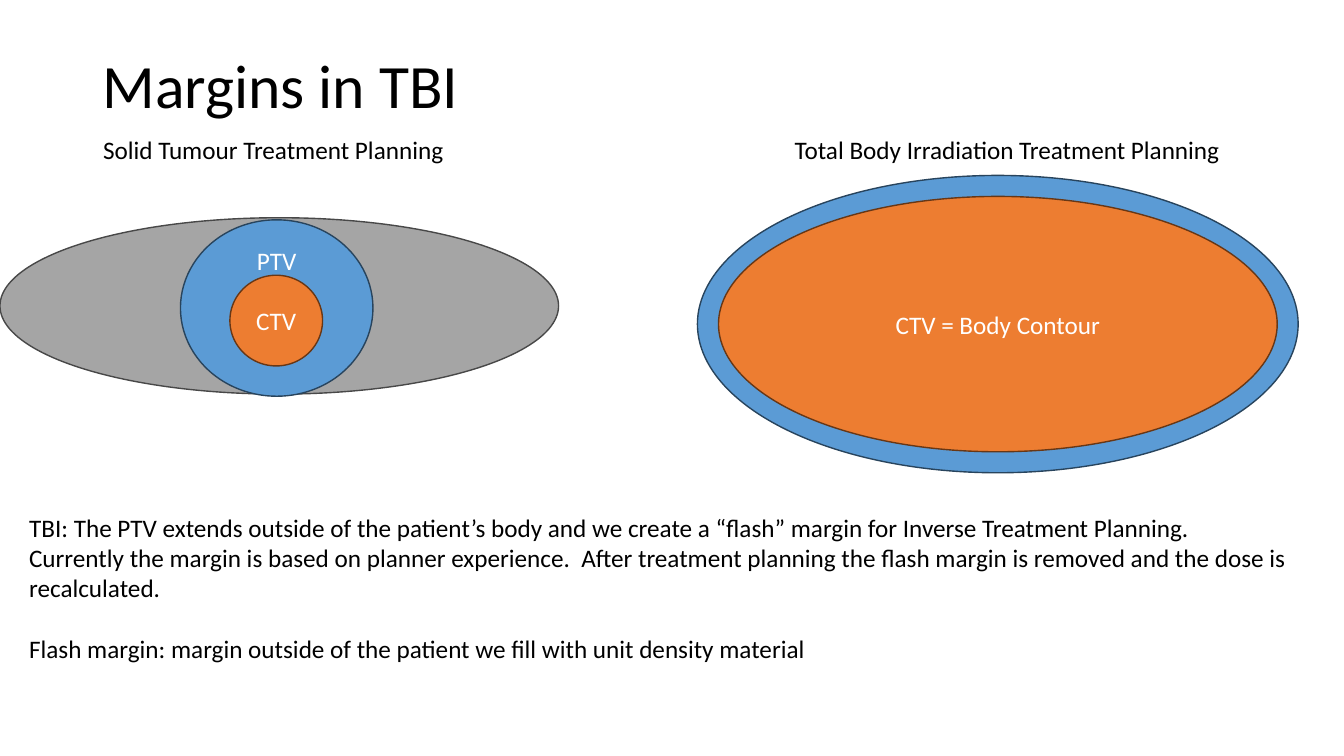
from dataclasses import dataclass

from pptx import Presentation
from pptx import util as u
from pptx.dml.color import RGBColor
from pptx.enum import shapes, text


@dataclass(frozen=True)
class Theme:
    """Colours as (fill, line) pairs, the font and the type sizes."""
    font: str = "Calibri"
    ink: str = "000000"
    light: str = "FFFFFF"
    patient: tuple = ("A5A5A5", "484848")
    ptv: tuple = ("5B9BD5", "28445D")
    ctv: tuple = ("ED7D31", "683715")
    title: int = 44
    body: int = 18


THEME = Theme()


def place(item, left, top, width, height):
    """Move and size an item, in points."""
    item.left, item.top = u.Pt(left), u.Pt(top)
    item.width, item.height = u.Pt(width), u.Pt(height)


def write(para, words, size=THEME.body, colour=THEME.ink, align=text.PP_ALIGN.LEFT,
          before=0, line_spacing=None):
    """Put formatted words into a paragraph."""
    para.alignment = align
    para.space_before = u.Pt(before)
    if line_spacing:
        para.line_spacing = line_spacing
    span = para.add_run()
    span.text = words
    span.font.name = THEME.font
    span.font.size = u.Pt(size)
    span.font.color.rgb = RGBColor.from_string(colour)


def add_title(page, words, bounds):
    """Fill and move the title placeholder."""
    title = page.shapes.title
    place(title, *bounds)
    title.text_frame.vertical_anchor = text.MSO_ANCHOR.MIDDLE
    write(title.text_frame.paragraphs[0], words, size=THEME.title, line_spacing=0.9)


def add_text(page, paragraphs, bounds, gap=0, **form):
    """Add a wrapped text box with a gap between its paragraphs."""
    box = page.shapes.add_textbox(*map(u.Pt, bounds))
    frame = box.text_frame
    frame.word_wrap = True
    for index, words in enumerate(paragraphs):
        para = frame.add_paragraph() if index else frame.paragraphs[0]
        write(para, words, before=gap if index else 0, **form)


def add_ellipse(page, colours, bounds, label=None, anchor=text.MSO_ANCHOR.MIDDLE):
    """Add an outlined ellipse with an optional white label."""
    ellipse = page.shapes.add_shape(shapes.MSO_SHAPE.OVAL, *map(u.Pt, bounds))
    fill, line = colours
    ellipse.shadow.inherit = False
    ellipse.fill.solid()
    ellipse.fill.fore_color.rgb = RGBColor.from_string(fill)
    ellipse.line.color.rgb = RGBColor.from_string(line)
    ellipse.line.width = u.Pt(1)
    if label:
        frame = ellipse.text_frame
        frame.vertical_anchor = anchor
        if anchor == text.MSO_ANCHOR.TOP:
            frame.margin_top = 0
        write(frame.paragraphs[0], label, colour=THEME.light, align=text.PP_ALIGN.CENTER)


def inset(bounds, margin):
    """Shrink bounds by the same margin on every side."""
    left, top, width, height = bounds
    return left + margin, top + margin, width - 2 * margin, height - 2 * margin


def main():
    """Build and save the slide on margins."""
    deck = Presentation()
    deck.slide_width, deck.slide_height = u.Pt(960), u.Pt(540)
    page = deck.slides.add_slide(deck.slide_layouts[5])
    add_title(page, "Margins in TBI", (66, 28.8, 828, 68.4))

    captions = {13.7: "Solid Tumour Treatment Planning ",
                537.8: "Total Body Irradiation Treatment Planning "}
    for left, caption in captions.items():
        add_text(page, [caption], (left, 92.2, 367.2, 28.8), align=text.PP_ALIGN.CENTER)

    add_ellipse(page, THEME.patient, (0, 155.5, 399, 126))
    add_ellipse(page, THEME.ptv, (128.9, 157, 137.5, 126), "PTV", text.MSO_ANCHOR.TOP)
    add_ellipse(page, THEME.ctv, (164.2, 196.6, 66.2, 64.8), "CTV")

    body_ptv = (498.2, 125.3, 429.1, 212.4)
    add_ellipse(page, THEME.ptv, body_ptv)
    add_ellipse(page, THEME.ctv, inset(body_ptv, 15), "CTV = Body Contour")

    add_text(page, [
        "TBI: The PTV extends outside of the patient’s body and we create a “flash” margin "
        "for Inverse Treatment Planning. Currently the margin is based on planner experience.  "
        "After treatment planning the flash margin is removed and the dose is recalculated.",
        "Flash margin: margin outside of the patient we fill with unit density material",
    ], (13.7, 362.2, 913.7, 116.6), gap=22)
    deck.save("out.pptx")


if __name__ == "__main__":
    main()
